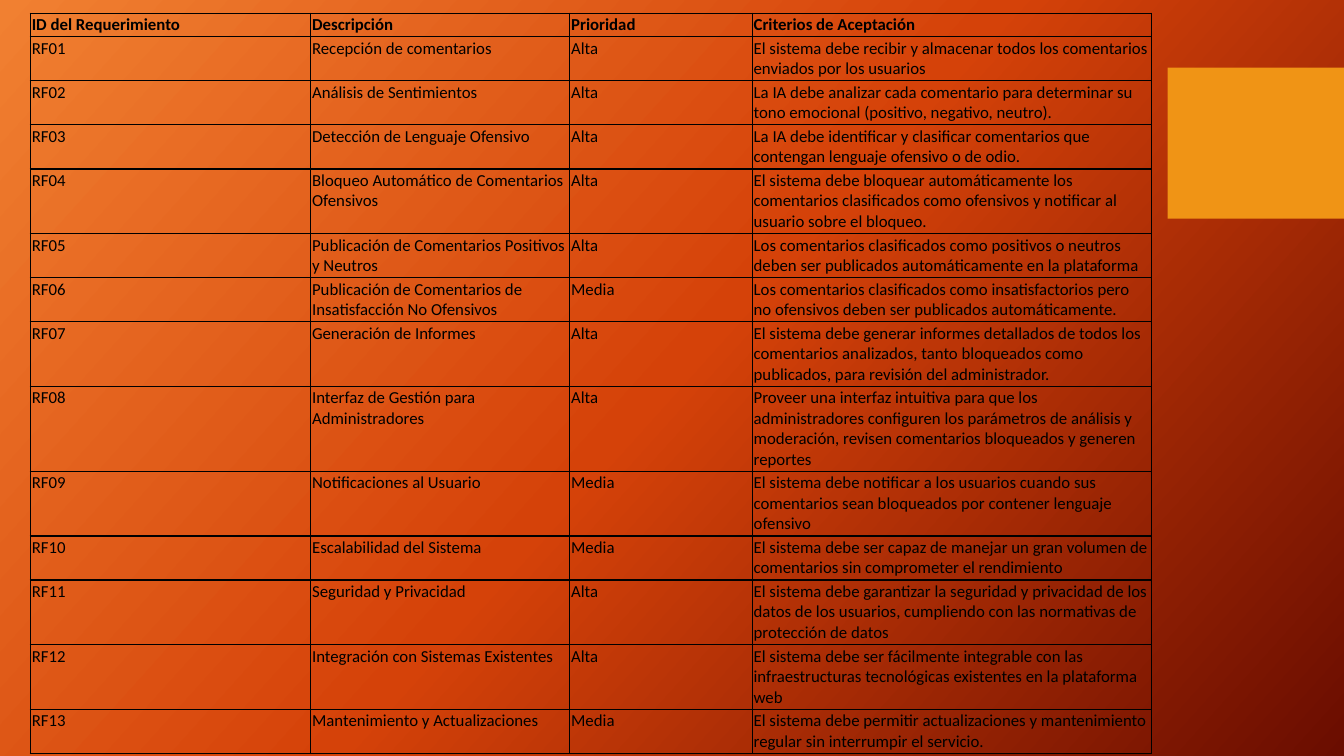
from copy import deepcopy

from lxml import etree
from pptx import Presentation
from pptx.dml.color import RGBColor
from pptx.enum import shapes
from pptx.oxml import ns
from pptx.util import Inches, Pt

COLORS = {
    "glow": "F18031",
    "ember": "D54209",
    "shade": "6A0D00",
    "accent": "F09415",
    "ink": "000000",
}
HEADINGS = ("ID del Requerimiento", "Descripción", "Prioridad", "Criterios de Aceptación")
# Minimum row height, description, priority and acceptance criterion
REQUIREMENTS = [
    (0.26, "Recepción de comentarios", "Alta",
     "El sistema debe recibir y almacenar todos los comentarios enviados por los usuarios"),
    (0.32, "Análisis de Sentimientos", "Alta",
     "La IA debe analizar cada comentario para determinar su tono emocional "
     "(positivo, negativo, neutro)."),
    (0.26, "Detección de Lenguaje Ofensivo", "Alta",
     "La IA debe identificar y clasificar comentarios que contengan lenguaje ofensivo o de odio."),
    (0.43, "Bloqueo Automático de Comentarios Ofensivos", "Alta",
     "El sistema debe bloquear automáticamente los comentarios clasificados como ofensivos "
     "y notificar al usuario sobre el bloqueo."),
    (0.37, "Publicación de Comentarios Positivos y Neutros", "Alta",
     "Los comentarios clasificados como positivos o neutros deben ser publicados "
     "automáticamente en la plataforma"),
    (0.37, "Publicación de Comentarios de Insatisfacción No Ofensivos", "Media",
     "Los comentarios clasificados como insatisfactorios pero no ofensivos deben ser "
     "publicados automáticamente."),
    (0.43, "Generación de Informes", "Alta",
     "El sistema debe generar informes detallados de todos los comentarios analizados, "
     "tanto bloqueados como publicados, para revisión del administrador."),
    (0.49, "Interfaz de Gestión para Administradores", "Alta",
     "Proveer una interfaz intuitiva para que los administradores configuren los parámetros "
     "de análisis y moderación, revisen comentarios bloqueados y generen reportes"),
    (0.37, "Notificaciones al Usuario", "Media",
     "El sistema debe notificar a los usuarios cuando sus comentarios sean bloqueados "
     "por contener lenguaje ofensivo"),
    (0.37, "Escalabilidad del Sistema", "Media",
     "El sistema debe ser capaz de manejar un gran volumen de comentarios sin comprometer "
     "el rendimiento"),
    (0.43, "Seguridad y Privacidad", "Alta",
     "El sistema debe garantizar la seguridad y privacidad de los datos de los usuarios, "
     "cumpliendo con las normativas de protección de datos"),
    (0.32, "Integración con Sistemas Existentes", "Alta",
     "El sistema debe ser fácilmente integrable con las infraestructuras tecnológicas "
     "existentes en la plataforma web"),
    (0.32, "Mantenimiento y Actualizaciones", "Media",
     "El sistema debe permitir actualizaciones y mantenimiento regular sin interrumpir "
     "el servicio."),
]
HEADING_HEIGHT = 0.15
COLUMN_WIDTHS = (2.78, 2.57, 1.81, 3.96)
CELL_FORMAT = {f"margin_{side}": Pt(1.12) for side in ("left", "right", "top", "bottom")}
FONT_FORMAT = {"name": "Calibri", "size": Pt(12)}


def apply_format(target, values):
    for attribute, value in values.items():
        setattr(target, attribute, value)


def rgb(name):
    return RGBColor.from_string(COLORS[name])


def paint_background(slide):
    fill = slide.background.fill
    fill.gradient()
    fill.gradient_angle = 360 - 42
    # The default gradient has two stops; a middle one is added
    stop_list = slide.element.xpath(".//a:gsLst")[0]
    stop_list.insert(1, deepcopy(stop_list[0]))
    for stop, position, name in zip(fill.gradient_stops, (0, 0.5, 1), ("glow", "ember", "shade")):
        stop.position = position
        stop.color.rgb = rgb(name)


def add_accent(slide, left, top, width, height):
    accent = slide.shapes.add_shape(
        shapes.MSO_SHAPE.RECTANGLE, *map(Inches, (left, top, width, height)))
    accent.shadow.inherit = False
    accent.fill.solid()
    accent.fill.fore_color.rgb = rgb("accent")
    accent.line.fill.background()


def add_borders(cell):
    # Borders come before the fill in the cell properties
    properties = cell._tc.get_or_add_tcPr()
    for index, side in enumerate("LRTB"):
        border = etree.Element(ns.qn(f"a:ln{side}"), w=str(Pt(1)))
        solid = etree.SubElement(border, ns.qn("a:solidFill"))
        etree.SubElement(solid, ns.qn("a:srgbClr"), val=COLORS["ink"])
        properties.insert(index, border)


def write_cell(cell, wording, bold):
    apply_format(cell, CELL_FORMAT)
    cell.fill.background()
    add_borders(cell)
    paragraph = cell.text_frame.paragraphs[0]
    run = paragraph.add_run()
    run.text = wording
    apply_format(run.font, {**FONT_FORMAT, "bold": bold})
    run.font.color.rgb = rgb("ink")


def add_requirements(slide, left, top, width, height):
    lines = [HEADINGS] + [
        (f"RF{number:02}", *details)
        for number, (_, *details) in enumerate(REQUIREMENTS, 1)]
    frame = slide.shapes.add_table(
        len(lines), len(HEADINGS), *map(Inches, (left, top, width, height)))
    table = frame.table
    table.horz_banding = False

    for column, column_width in zip(table.columns, COLUMN_WIDTHS):
        column.width = Inches(column_width)
    row_heights = [HEADING_HEIGHT] + [requirement[0] for requirement in REQUIREMENTS]
    for row, row_height, line in zip(table.rows, row_heights, lines):
        row.height = Inches(row_height)
        for cell, wording in zip(row.cells, line):
            write_cell(cell, wording, bold=line is HEADINGS)
    frame.height = Inches(height)


def main():
    deck = Presentation()
    deck.slide_width, deck.slide_height = Inches(13.33), Inches(7.5)
    slide = deck.slides.add_slide(deck.slide_layouts[6])
    paint_background(slide)
    add_accent(slide, 11.58, 0.67, 1.75, 1.5)
    add_requirements(slide, 0.3, 0.13, sum(COLUMN_WIDTHS), 7.24)
    deck.save("out.pptx")


if __name__ == "__main__":
    main()
